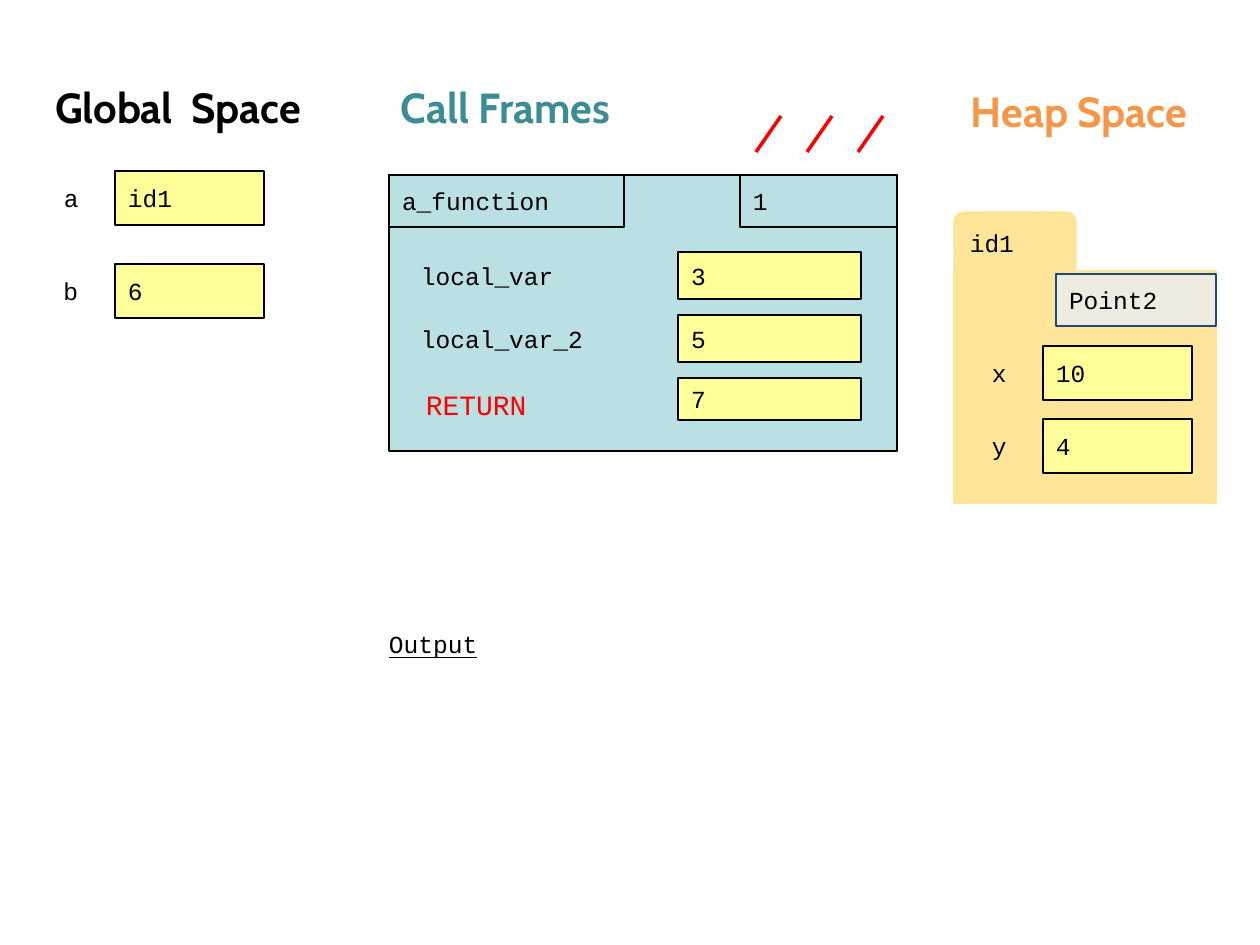
from lxml import etree
from pptx import Presentation
from pptx.dml.color import RGBColor
from pptx.enum.dml import MSO_LINE
from pptx.enum.shapes import MSO_CONNECTOR, MSO_SHAPE
from pptx.enum.text import MSO_ANCHOR, PP_ALIGN
from pptx.oxml.ns import qn
from pptx.util import Emu, Pt

RECTANGLE = MSO_SHAPE.RECTANGLE
ROUNDED = MSO_SHAPE.ROUNDED_RECTANGLE
STRAIGHT = MSO_CONNECTOR.STRAIGHT
DOTTED = MSO_LINE.ROUND_DOT
LEFT = PP_ALIGN.LEFT
TOP, MIDDLE = MSO_ANCHOR.TOP, MSO_ANCHOR.MIDDLE

PX_PER_INCH = 126
EMU_PER_PX = 914400 / PX_PER_INCH
CODE_FONT, HEADING_FONT = "Courier New", "Cabin"
COLORS = {
    "black": "000000",
    "red": "FF0000",
    "teal": "3C8C93",
    "orange": "F79646",
    "value": "FFFF99",
    "frame": "BBE0E3",
    "object": "FFE599",
    "object_edge": "FFD966",
    "type": "EEECE1",
    "type_edge": "1F497D",
}


def px(length):
    return Emu(round(length * EMU_PER_PX))


def color(name):
    return RGBColor.from_string(COLORS[name])


def write(shape, text, size=14, font=CODE_FONT, ink="black", bold=False,
          underline=False, anchor=MIDDLE, inset=13):
    """Put one formatted line of text in a shape; inset is top and bottom."""
    frame = shape.text_frame
    frame.word_wrap = True
    frame.vertical_anchor = anchor
    frame.margin_left = frame.margin_right = px(13)
    frame.margin_top = frame.margin_bottom = px(inset)
    paragraph = frame.paragraphs[0]
    paragraph.alignment = LEFT
    run = paragraph.add_run()
    run.text = text
    run.font.size = Pt(size)
    run.font.name = font
    run.font.bold = bold
    run.font.underline = underline
    run.font.color.rgb = color(ink)


class MemoryDiagram:
    def __init__(self, slide):
        self.slide = slide

    def box(self, x, y, width, height, fill, edge="black", weight=0.75,
            text=None, kind=RECTANGLE, **text_format):
        shape = self.slide.shapes.add_shape(
            kind, px(x), px(y), px(width), px(height))
        shape.shadow.inherit = False
        shape.fill.solid()
        shape.fill.fore_color.rgb = color(fill)
        shape.line.color.rgb = color(edge)
        shape.line.width = Pt(weight)
        if text:
            write(shape, text, **text_format)
        return shape

    def label(self, x, y, width, height, text, **text_format):
        shape = self.slide.shapes.add_textbox(
            px(x), px(y), px(width), px(height))
        write(shape, text, **text_format)

    def heading(self, x, y, width, text, ink, inset=6):
        self.label(x, y, width, 63, text, size=24, font=HEADING_FONT,
                   ink=ink, bold=True, anchor=TOP, inset=inset)

    def variable(self, x, y, name, value, font=CODE_FONT):
        """Draw a name with its value box, the box's corner at x, y."""
        self.box(x, y, 149, 54, "value", weight=1, text=value)
        self.label(x - 64, y - 2, 59, 57, name, font=font)

    def local_variable(self, y, name, value):
        self.label(408, y, 213, 47, name)
        self.box(678, y, 183, 47, "value", text=value)

    def slash(self, x, y):
        line = self.slide.shapes.add_connector(
            STRAIGHT, px(x), px(y), px(x + 25), px(y - 36))
        line.line.color.rgb = color("red")
        line.line.width = Pt(2)
        etree.SubElement(line._element.spPr, qn("a:effectLst"))

    def global_space(self):
        self.heading(42, 76, 362, "Global  Space", "black")
        self.variable(115, 171, "a", "id1")
        self.variable(115, 264, "b", "6", font="Arial")

    def call_frames(self):
        self.heading(388, 76, 300, "Call Frames", "teal")
        self.box(389, 175, 508, 276, "frame")
        self.box(389, 175, 235, 52, "frame", text="a_function")
        self.box(740, 175, 157, 52, "frame", text="1")
        for row, (name, value) in enumerate(
                [("local_var", "3"), ("local_var_2", "5")]):
            self.local_variable(252 + 63 * row, name, value)
        self.label(413, 378, 137, 52, "RETURN", size=16, ink="red", inset=6)
        self.box(678, 378, 183, 42, "value", text="7")
        for index in range(3):
            self.slash(756 + 51 * index, 152)

    def heap_space(self):
        self.heading(958, 73, 270, "Heap Space", "orange", inset=13)
        tab = self.box(954, 212, 122, 89, "object", "object_edge",
                       text="id1", kind=ROUNDED, anchor=TOP)
        tab.adjustments[0] = 0.11
        tab.line.dash_style = DOTTED
        self.box(954, 271, 262, 232, "object", "object")
        self.variable(1043, 346, "x", "10")
        self.variable(1043, 419, "y", "4")
        self.box(1056, 274, 160, 52, "type", "type_edge", text="Point2")


def main():
    presentation = Presentation()
    presentation.slide_width = px(10 * PX_PER_INCH)
    presentation.slide_height = px(7.5 * PX_PER_INCH)
    slide = presentation.slides.add_slide(presentation.slide_layouts[6])
    diagram = MemoryDiagram(slide)
    diagram.global_space()
    diagram.call_frames()
    diagram.heap_space()
    diagram.label(376, 616, 553, 84, "Output", underline=True, anchor=TOP)
    presentation.save("out.pptx")


if __name__ == "__main__":
    main()
